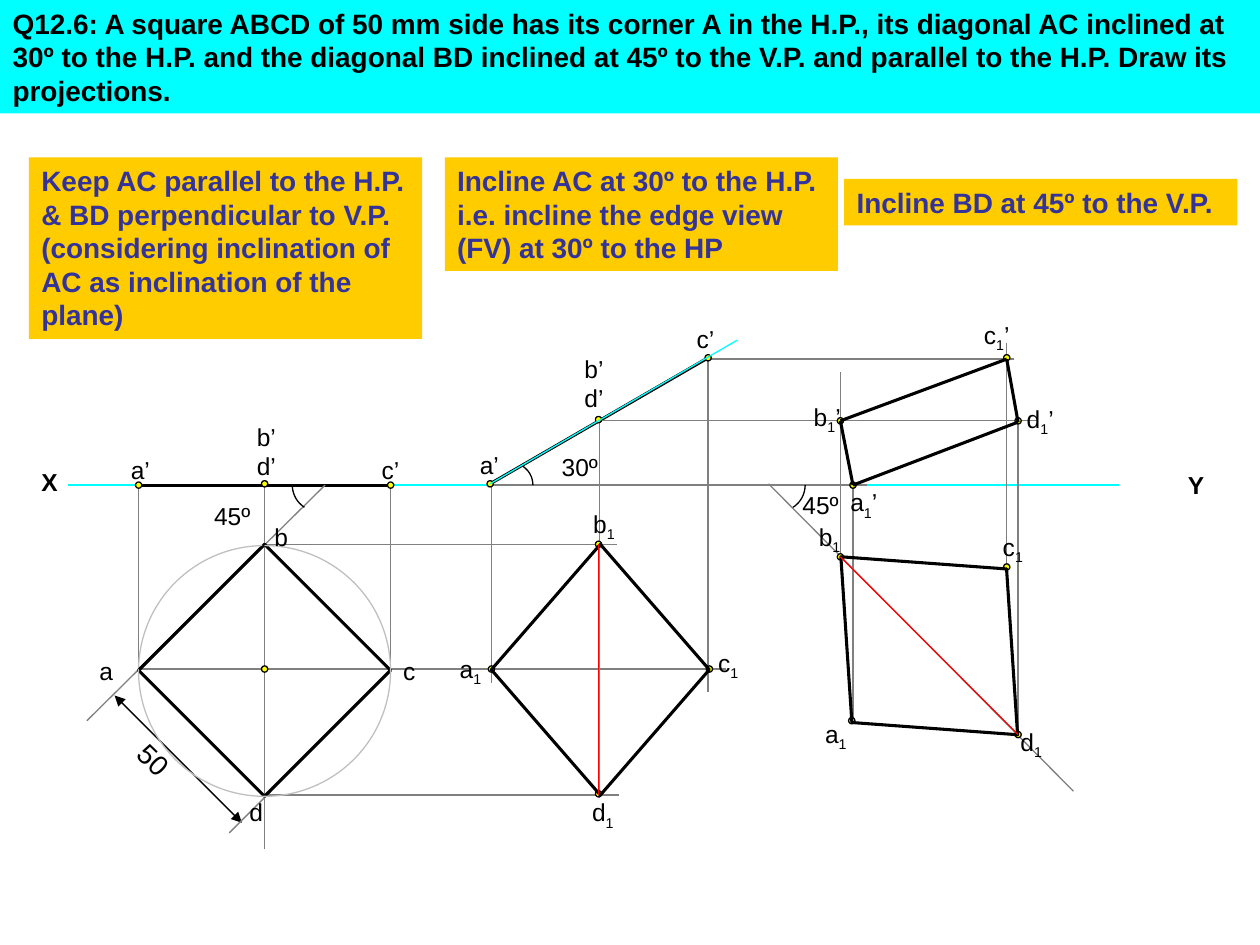
import math
from dataclasses import dataclass

import pptx
import pptx.dml.color
import pptx.enum.shapes
import pptx.enum.text
import pptx.oxml.ns
import pptx.util
from lxml import etree

SHAPE = pptx.enum.shapes.MSO_SHAPE
COLORS = {"black": "000000", "cyan": "00FFFF", "gray": "808080", "silver": "C0C0C0",
          "red": "FF0000", "yellow": "FFFF00", "amber": "FFCC00", "indigo": "333399"}
THIN, THICK = 0.75, 1.75
DOT = 0.05
XY = 3.85                          # height of the reference line
TOP, MIDDLE, BOTTOM = 4.32, 5.31, 6.31  # rows of the plan views


@dataclass
class Line:
    x1: float
    y1: float
    x2: float
    y2: float
    color: str = "gray"
    width: float = THIN
    arrows: bool = False


@dataclass
class Label:
    text: str                      # "_" marks the next character as subscript
    x: float
    y: float
    width: float = 0.42
    height: float = 0.33
    size: int = 14
    bold: bool = False
    turn: float = 0


@dataclass
class Note:
    text: str
    x: float
    y: float
    height: float


@dataclass
class Arc:
    x: float
    radius: float
    start: float
    end: float


def inch(value: float) -> int:
    return pptx.util.Cm(value * 2.54)


def rgb(name: str) -> pptx.dml.color.RGBColor:
    return pptx.dml.color.RGBColor.from_string(COLORS[name])


def write_text(frame, text: str, size: int = 14, color: str = "black", bold: bool = False) -> None:
    frame.word_wrap = True
    frame.auto_size = pptx.enum.text.MSO_AUTO_SIZE.NONE
    frame.vertical_anchor = pptx.enum.text.MSO_ANCHOR.TOP
    para = frame.paragraphs[0]
    para.alignment = pptx.enum.text.PP_ALIGN.LEFT
    head, _, rest = text.partition("_")
    for part, lowered in ((head, False), (rest[:1], True), (rest[1:], False)):
        if not part:
            continue
        span = para.add_run()
        span.text = part
        span.font.name, span.font.size, span.font.bold = "Arial", pptx.util.Pt(size), bold
        span.font.color.rgb = rgb(color)
        if lowered:
            span._r.get_or_add_rPr().set("baseline", "-25000")


def style(shape, fill: str = "", line: str = "", width: float = THIN) -> None:
    shape.shadow.inherit = False
    if fill:
        shape.fill.solid()
        shape.fill.fore_color.rgb = rgb(fill)
    else:
        shape.fill.background()
    if line:
        shape.line.color.rgb = rgb(line)
        shape.line.width = pptx.util.Pt(width)
    else:
        shape.line.fill.background()


def add_preset(page, kind, x: float, y: float, width: float, height: float):
    return page.shapes.add_shape(kind, inch(x), inch(y), inch(width), inch(height))


def draw_line(page, item: Line) -> None:
    link = page.shapes.add_connector(pptx.enum.shapes.MSO_CONNECTOR.STRAIGHT,
                                     *map(inch, (item.x1, item.y1, item.x2, item.y2)))
    link.line.color.rgb = rgb(item.color)
    link.line.width = pptx.util.Pt(item.width)
    if item.arrows:
        for end in ("a:headEnd", "a:tailEnd"):
            etree.SubElement(link.line._get_or_add_ln(), pptx.oxml.ns.qn(end), type="triangle")
    etree.SubElement(link._element.spPr, pptx.oxml.ns.qn("a:effectLst"))


def draw_label(page, item: Label) -> None:
    box = page.shapes.add_textbox(*map(inch, (item.x, item.y, item.width, item.height)))
    box.rotation = item.turn
    write_text(box.text_frame, item.text, size=item.size, bold=item.bold)


def draw_note(page, item: Note) -> None:
    box = add_preset(page, SHAPE.RECTANGLE, item.x, item.y, 3.12, item.height)
    style(box, fill="amber")
    write_text(box.text_frame, item.text, size=16, color="indigo", bold=True)


def draw_dot(page, x: float, y: float) -> None:
    dot = add_preset(page, SHAPE.OVAL, x - DOT / 2, y - DOT / 2, DOT, DOT)
    style(dot, fill="yellow", line="black")


def draw_diamond(page, x: float, y: float, width: float, height: float, turn: float = 0) -> None:
    diamond = add_preset(page, SHAPE.DIAMOND, x, y, width, height)
    diamond.rotation = turn
    style(diamond, line="black", width=THICK)


def draw_arc(page, item: Arc, steps: int = 12) -> None:
    angles = [math.radians(item.start + (item.end - item.start) * i / steps) for i in range(steps + 1)]
    points = [(inch(item.x + item.radius * math.cos(a)), inch(XY + item.radius * math.sin(a)))
              for a in angles]
    builder = page.shapes.build_freeform(*points[0])
    builder.add_line_segments(points[1:], close=False)
    style(builder.convert_to_shape(), line="black")


BASE_LINES = [
    Line(0.54, XY, 8.88, XY, "cyan", 1),
    Line(1.1, XY, 3.1, XY, "black", THICK),
    Line(3.89, 3.84, 5.62, 2.84, "black", THICK),
    Line(0.91, 5.52, 1.92, 6.53, "black", arrows=True),
]
# Vertical projectors (x, from, to), then horizontal ones (y, from, to)
VERTICAL = [(1.1, MIDDLE, XY), (3.1, MIDDLE, XY), (2.1, 6.74, 3.84), (3.9, 5.42, 3.83),
            (4.76, 6.33, 3.33), (5.62, 5.49, 2.84), (6.67, 4.42, 2.95), (6.77, 5.72, XY),
            (7.99, 4.51, 2.72), (8.08, 5.83, 3.31)]
HORIZONTAL = [(MIDDLE, 1.1, 5.76), (TOP, 2.1, 4.9), (BOTTOM, 2.11, 4.91), (2.85, 5.62, 8.05),
              (3.34, 4.75, 8.24), (XY, 3.88, 6.88)]
SLANTED = [Line(0.69, 5.72, 2.58, XY), Line(2.15, 6.28, 1.82, 6.61), Line(6.1, 3.84, 8.52, 6.28)]
DOTS = [(1.1, 3.85), (2.1, 3.84), (3.1, 3.85), (3.89, 3.84), (4.75, 3.33), (5.62, 2.84),
        (3.9, 5.31), (5.63, 5.31), (4.75, 4.32), (4.75, 6.3), (6.76, 5.72), (7.99, 4.5),
        (6.67, 4.42), (8.08, 5.83), (6.77, 3.85), (6.67, 3.34), (7.99, 2.84), (8.08, 3.34)]
DIAMONDS = [(1.1, 4.32, 2, 2), (3.9, 4.32, 1.73, 1.99), (6.51, 4.13, 1.73, 1.99, 315.2)]
FINAL_FRONT = [(6.77, 3.85), (6.67, 3.34), (7.99, 2.85), (8.08, 3.35)]
ARCS = [Arc(2.53, 0.21, 180, 123), Arc(6.18, 0.21, 57, 0), Arc(4.05, 0.18, -57, 0)]
TOP_LINES = [
    Line(3.89, 3.84, 5.85, 2.7, "cyan"),
    Line(2.1, TOP, 1.1, MIDDLE, "black"),
    Line(4.75, TOP, 4.75, BOTTOM, "red"),
    Line(6.67, 4.42, 8.08, 5.83, "red"),
]
LABELS = [
    Label("X", 0.23, 3.66, 0.46, bold=True), Label("Y", 9.33, 3.68, 0.3, bold=True),
    Label("a", 0.69, 5.16), Label("b", 2.08, 4.09), Label("c", 3.1, 5.16), Label("d", 1.88, 6.28),
    Label("45º", 1.6, 3.93, 0.55), Label("30º", 4.36, 3.54, 0.55), Label("45º", 6.27, 3.84, 0.55),
    Label("50", 0.97, 5.91, 0.64, 0.37, size=16, turn=44.2),
    Label("a’", 0.94, 3.56), Label("b’d’", 1.94, 3.3, height=0.57), Label("c’", 2.93, 3.56),
    Label("a’", 3.71, 3.52), Label("b’d’", 4.54, 2.76, height=0.57), Label("c’", 5.43, 2.52),
    Label("a_1", 3.55, 5.14), Label("b_1", 4.61, 3.99), Label("c_1", 5.6, 5.09), Label("d_1", 4.6, 6.28),
    Label("a_1", 6.45, 5.66), Label("b_1", 6.4, 4.09), Label("c_1", 7.86, 4.17), Label("d_1", 8, 5.72),
    Label("a_1’", 6.65, 3.82, 0.51), Label("b_1’", 6.36, 3.14, 0.51),
    Label("c_1’", 7.71, 2.49, 0.51), Label("d_1’", 8.05, 3.16, 0.51),
]
NOTES = [
    Note("Keep AC parallel to the H.P. & BD perpendicular to V.P. (considering inclination of AC "
         "as inclination of the plane)", 0.23, 1.25, 1.44),
    Note("Incline AC at 30º to the H.P. i.e. incline the edge view (FV) at 30º to the HP", 3.53, 1.25, 0.9),
    Note("Incline BD at 45º to the V.P.", 6.7, 1.42, 0.37),
]
QUESTION = ("Q12.6: A square ABCD of 50 mm side has its corner A in the H.P., its diagonal AC inclined "
            "at 30º to the H.P. and the diagonal BD inclined at 45º to the V.P. and parallel to the "
            "H.P. Draw its projections.")


def main() -> None:
    deck = pptx.Presentation()
    deck.slide_width, deck.slide_height = inch(10), inch(7.5)
    page = deck.slides.add_slide(deck.slide_layouts[5])

    # Question banner
    title = page.shapes.title
    title.left, title.top, title.width, title.height = map(inch, (0, 0, 10, 0.9))
    title.fill.solid()
    title.fill.fore_color.rgb = rgb("cyan")
    write_text(title.text_frame, QUESTION, size=16, bold=True)

    # Reference line, edge views and projectors
    projectors = [Line(x, start, x, end) for x, start, end in VERTICAL]
    projectors += [Line(start, y, end, y) for y, start, end in HORIZONTAL]
    for item in BASE_LINES + projectors + SLANTED:
        draw_line(page, item)

    # Corners, outlines and angle marks
    for point in DOTS:
        draw_dot(page, *point)
    for diamond in DIAMONDS:
        draw_diamond(page, *diamond)
    for start, end in zip(FINAL_FRONT, FINAL_FRONT[1:] + FINAL_FRONT[:1]):
        draw_line(page, Line(*start, *end, "black", THICK))
    for arc in ARCS:
        draw_arc(page, arc)

    # Circumscribed circle, its centre and the diagonals
    style(add_preset(page, SHAPE.OVAL, 1.1, 4.33, 2, 1.99), line="silver")
    draw_dot(page, 2.1, MIDDLE)
    for item in TOP_LINES:
        draw_line(page, item)

    # Wording
    for label in LABELS:
        draw_label(page, label)
    for note in NOTES:
        draw_note(page, note)
    deck.save("out.pptx")


if __name__ == "__main__":
    main()
